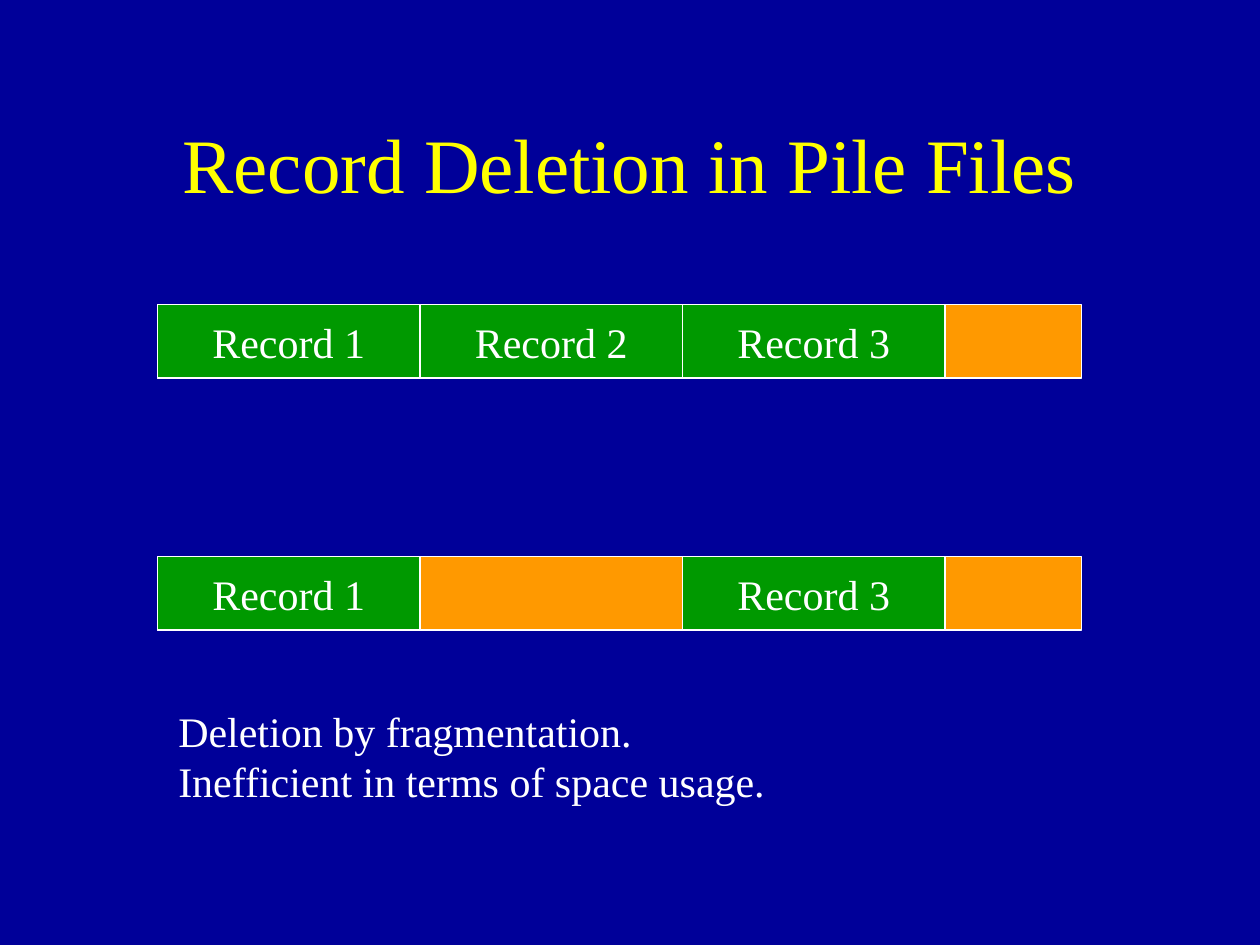
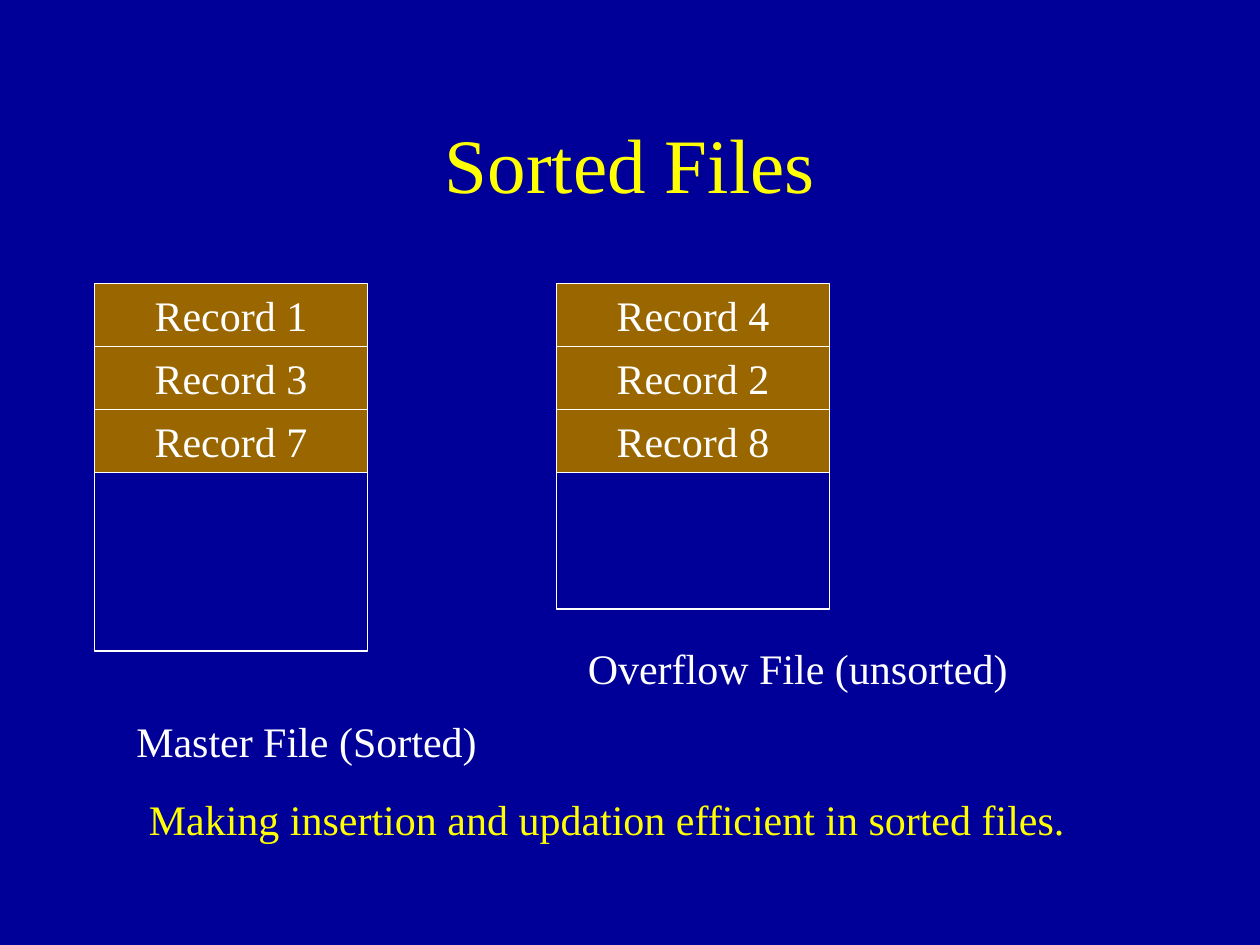
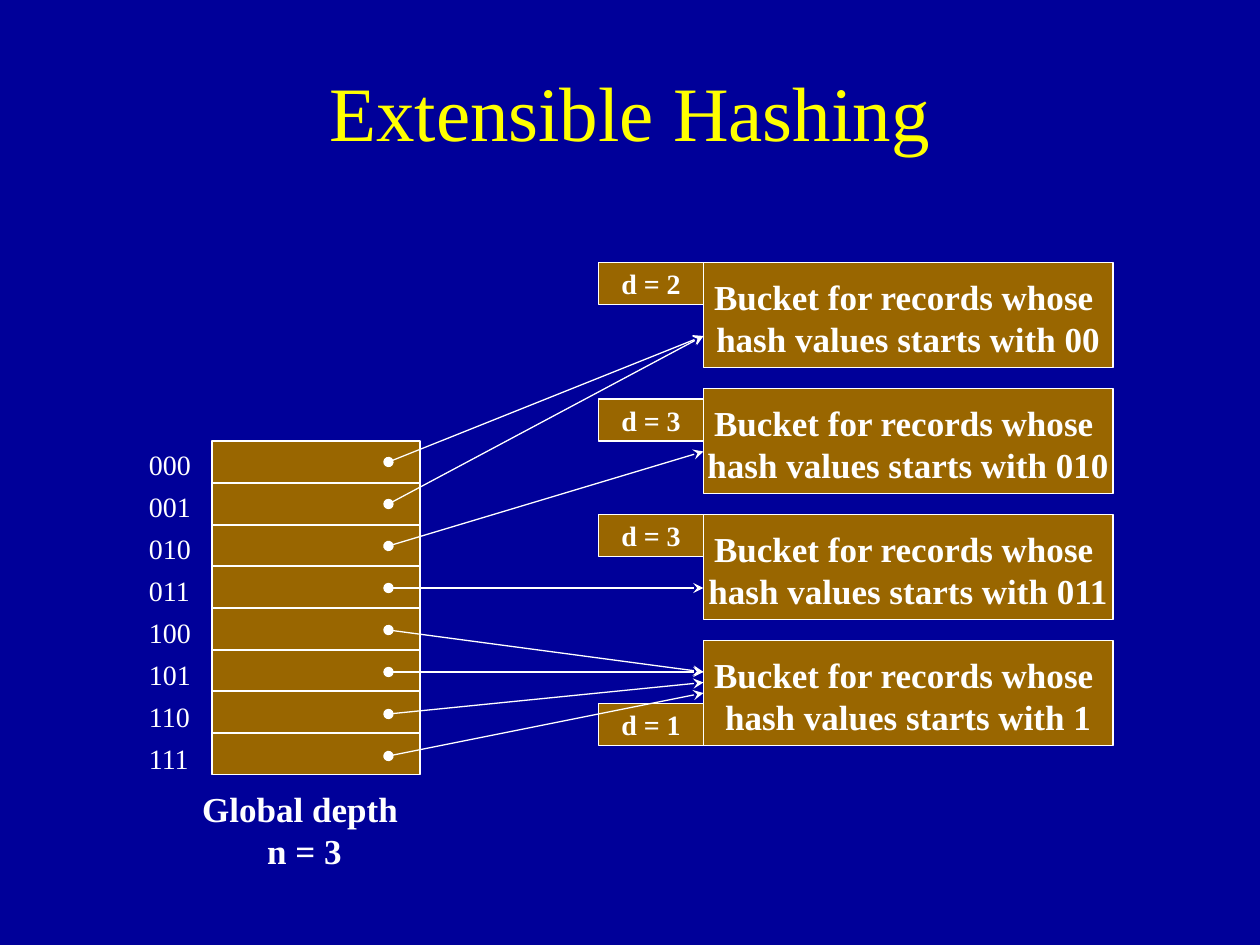
from dataclasses import dataclass

from lxml import etree
from pptx import Presentation
from pptx.dml.color import RGBColor
from pptx.enum.shapes import MSO_CONNECTOR, MSO_SHAPE
from pptx.enum.text import MSO_ANCHOR, MSO_AUTO_SIZE, PP_ALIGN
from pptx.oxml.ns import qn
from pptx.util import Emu, Pt

RECTANGLE = MSO_SHAPE.RECTANGLE
STRAIGHT = MSO_CONNECTOR.STRAIGHT
TOP, MIDDLE = MSO_ANCHOR.TOP, MSO_ANCHOR.MIDDLE
LEFT, CENTER = PP_ALIGN.LEFT, PP_ALIGN.CENTER
GROW, FIXED = MSO_AUTO_SIZE.SHAPE_TO_FIT_TEXT, MSO_AUTO_SIZE.NONE

EMU_PER_PX = 7620  # 120 px to the inch
SLIDE_WIDTH, SLIDE_HEIGHT = 1200, 900


@dataclass(frozen=True)
class Theme:
    font: str = "Times New Roman"
    background: str = "000099"
    title: str = "FFFF00"
    text: str = "FFFFFF"
    line: str = "FFFFFF"
    used: str = "009900"
    free: str = "FF9900"
    block: str = "996600"
    title_size: int = 44
    body_size: int = 24
    bucket_size: int = 20
    label_size: int = 16
    line_width: float = 0.75


THEME = Theme()


def px(length):
    return Emu(length * EMU_PER_PX)


def color(code):
    return RGBColor.from_string(code)


# Elements
def write(shape, lines, size, ink=THEME.text, bold=False, align=CENTER,
          anchor=MIDDLE, wrap=False, auto_size=FIXED):
    frame = shape.text_frame
    frame.word_wrap = wrap
    frame.auto_size = auto_size
    frame.vertical_anchor = anchor
    for index, line in enumerate(lines):
        paragraph = frame.add_paragraph() if index else frame.paragraphs[0]
        paragraph.alignment = align
        run = paragraph.add_run()
        run.text = line
        run.font.name = THEME.font
        run.font.size = Pt(size)
        run.font.bold = bold
        run.font.color.rgb = color(ink)


def add_text(slide, box, lines, size=THEME.body_size, **style):
    shape = slide.shapes.add_textbox(*map(px, box))
    write(shape, lines, size, **style)


def add_note(slide, box, lines, size=THEME.body_size, ink=THEME.text):
    add_text(slide, box, lines, size, ink=ink, align=LEFT, anchor=TOP,
             auto_size=GROW)


def add_bold_caption(slide, box, lines):
    add_text(slide, box, lines, THEME.bucket_size, bold=True, auto_size=GROW)


def add_box(slide, box, fill=None, label=None, size=THEME.body_size, bold=False):
    shape = slide.shapes.add_shape(RECTANGLE, *map(px, box))
    shape.shadow.inherit = False
    if fill:
        shape.fill.solid()
        shape.fill.fore_color.rgb = color(fill)
    else:
        shape.fill.background()
    shape.line.color.rgb = color(THEME.line)
    shape.line.width = Pt(THEME.line_width)
    if label:
        write(shape, [label], size, bold=bold)


def add_line(slide, start, end, arrow=False):
    connector = slide.shapes.add_connector(STRAIGHT, *map(px, start + end))
    connector.line.color.rgb = color(THEME.line)
    connector.line.width = Pt(THEME.line_width)
    if arrow:
        outline = connector.line._get_or_add_ln()
        etree.SubElement(outline, qn("a:headEnd"), type="oval")
        etree.SubElement(outline, qn("a:tailEnd"), type="stealth")
    etree.SubElement(connector._element.spPr, qn("a:effectLst"))


def add_slide(presentation, title, title_top=80):
    slide = presentation.slides.add_slide(presentation.slide_layouts[6])
    slide.background.fill.solid()
    slide.background.fill.fore_color.rgb = color(THEME.background)
    add_text(slide, (90, title_top, 1020, 150), [title], THEME.title_size,
             ink=THEME.title, wrap=True)
    return slide


def add_pile(slide, top, records):
    """A strip of free space with records placed in numbered slots."""
    left, width, height, slot = 150, 880, 70, 250
    add_box(slide, (left, top, width, height), THEME.free)
    for number in records:
        add_box(slide, (left + (number - 1) * slot, top, slot, height),
                THEME.used, f"Record {number}")


def add_file(slide, left, records, empty_height):
    """A column of records above the empty part of the file."""
    top, width, height = 270, 260, 60
    for index, number in enumerate(records):
        add_box(slide, (left, top + index * height, width, height),
                THEME.block, f"Record {number}")
    add_box(slide, (left, top + len(records) * height, width, empty_height))


# Slides
def build_deletion(presentation):
    slide = add_slide(presentation, "Record Deletion in Pile Files")
    add_pile(slide, 290, (1, 2, 3))
    add_pile(slide, 530, (1, 3))
    add_note(slide, (158, 666, 594, 108),
             ["Deletion by fragmentation.", "Inefficient in terms of space usage."])


def build_sorted(presentation):
    slide = add_slide(presentation, "Sorted Files")
    add_file(slide, 90, (1, 3, 7), 170)
    add_file(slide, 530, (4, 2, 8), 130)
    add_note(slide, (118, 676, 348, 60), ["Master File (Sorted)"])
    add_note(slide, (548, 606, 424, 60), ["Overflow File (unsorted)"])
    add_note(slide, (130, 750, 907, 60),
             ["Making insertion and updation efficient in sorted files."],
             ink=THEME.title)


def build_hashing(presentation):
    slide = add_slide(presentation, "Extensible Hashing", title_top=30)

    # Directory of hash prefixes
    left, top, width, height, entries, step = 202, 420, 198, 318, 8, 40
    add_box(slide, (left, top, width, height), THEME.block)
    for entry in range(entries):
        if entry:
            y = top + round(entry * height / entries)
            add_line(slide, (left, y), (left + width, y))
        add_note(slide, (130, top + entry * step, 64, 44), [f"{entry:03b}"],
                 THEME.label_size)
    add_bold_caption(slide, (178, 744, 224, 92), ["Global depth ", "n = 3"])

    # Buckets: prefix, local depth, offset of the depth tag
    buckets = (("00", 2, 0), ("010", 3, 10), ("011", 3, 0), ("1", 1, 60))
    bucket_left, bucket_width, overhang = 670, 390, 15
    for index, (prefix, depth, offset) in enumerate(buckets):
        y = 250 + index * 120
        add_box(slide, (bucket_left, y, bucket_width, 100), THEME.block)
        add_bold_caption(slide, (bucket_left - overhang, y + 6,
                                 bucket_width + 2 * overhang, 92),
                         ["Bucket for records whose ",
                          f"hash values starts with {prefix}"])
        add_box(slide, (bucket_left - 100, y + offset, 100, 40), THEME.block,
                f"d = {depth}", THEME.label_size, bold=True)

    # Pointers from directory entries to buckets
    for entry, target in enumerate((320, 320, 430, 560, 640, 640, 650, 660)):
        add_line(slide, (370, top + step // 2 + entry * step),
                 (bucket_left, target), arrow=True)


def main():
    presentation = Presentation()
    presentation.slide_width = px(SLIDE_WIDTH)
    presentation.slide_height = px(SLIDE_HEIGHT)
    build_deletion(presentation)
    build_sorted(presentation)
    build_hashing(presentation)
    presentation.save("out.pptx")


if __name__ == "__main__":
    main()
